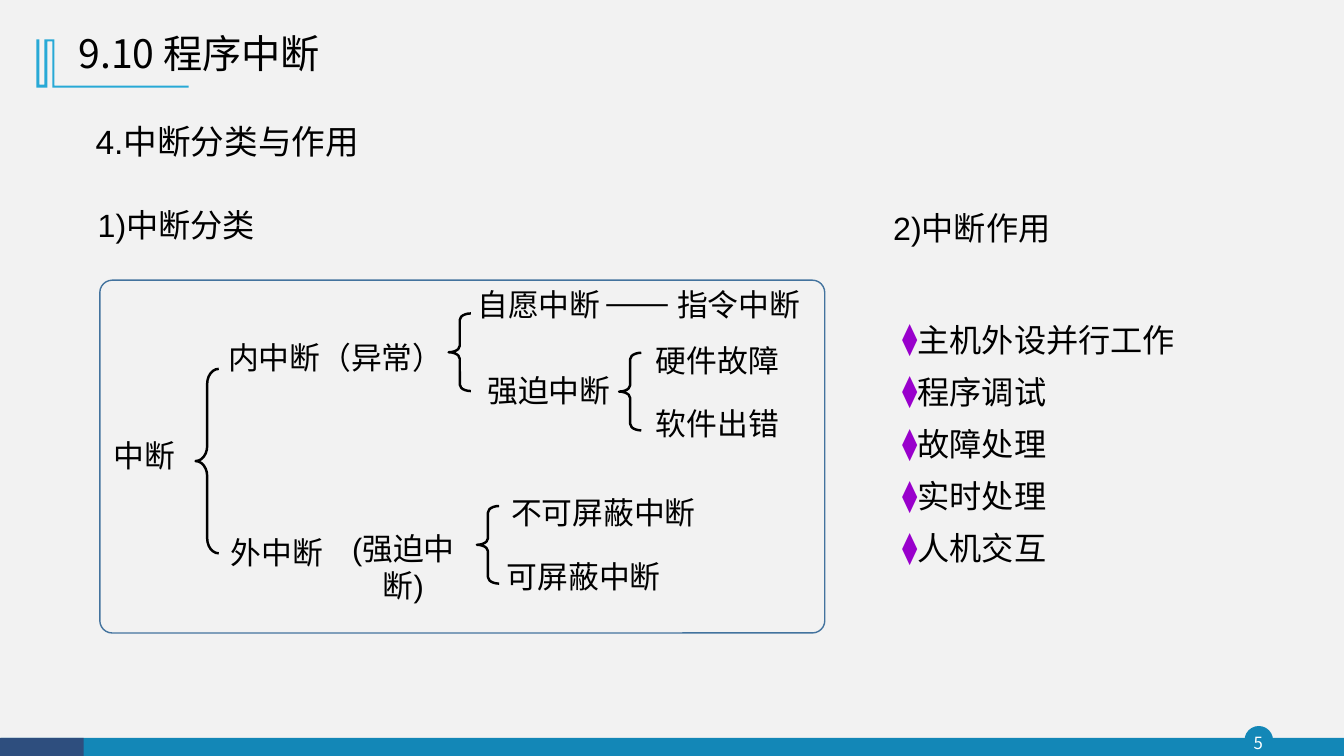
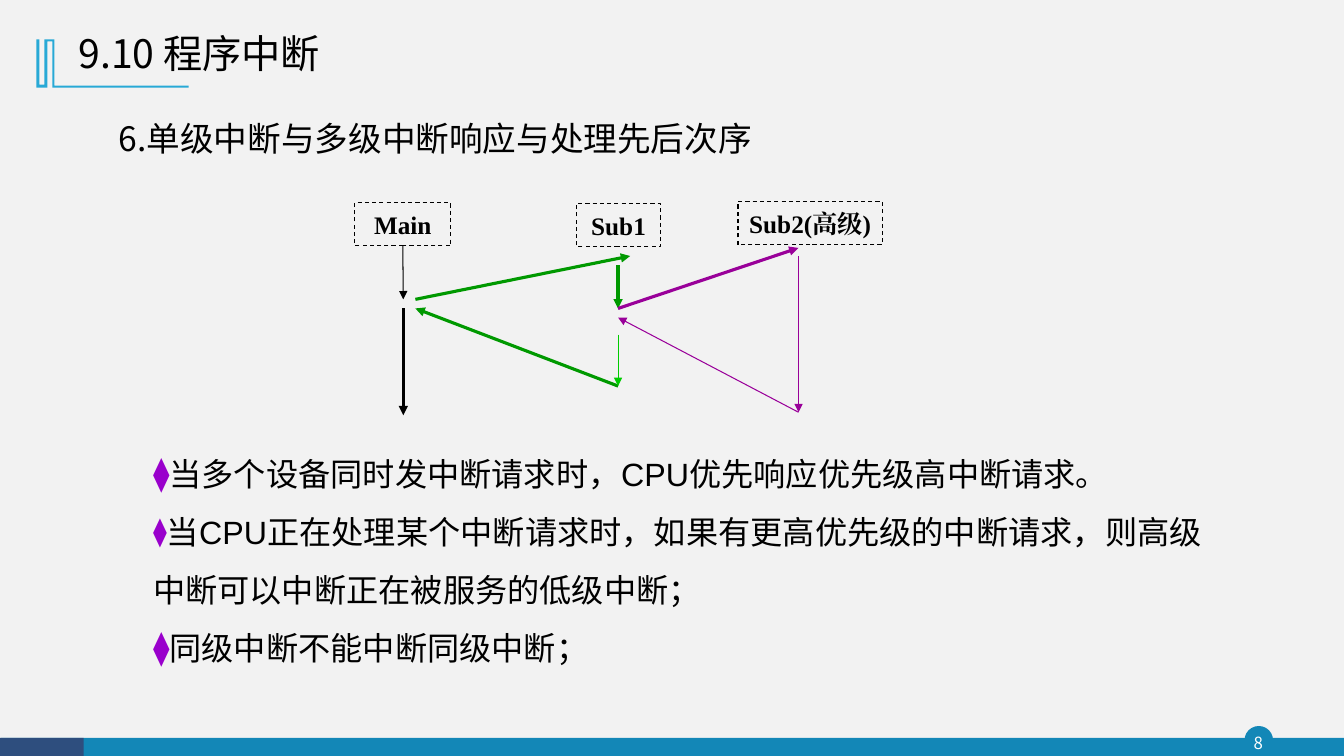
"""Builds two lecture slides on program interrupts."""
from lxml import etree
from pptx import Presentation
from pptx.dml.color import RGBColor
from pptx.enum import dml, shapes, text
from pptx.oxml import ns
from pptx.util import Inches, Pt

COLORS = {"background": "F2F2F2", "teal": "1387B7", "navy": "2E4E7E", "sky": "28A9D6",
          "frame": "43739E", "black": "000000", "white": "FFFFFF", "bullet": "9900CC",
          "green": "009900", "lime": "00CC00", "purple": "990099"}
NOTO = "Noto Sans CJK SC"
NOTO_JP = "Noto Sans CJK JP"
CENTER = text.PP_ALIGN.CENTER
MIDDLE = text.MSO_ANCHOR.MIDDLE


def add_shape(slide, kind, box, fill=None, line=None, width=1):
    shape = slide.shapes.add_shape(kind, *map(Inches, box))
    shape.shadow.inherit = False
    if fill:
        shape.fill.solid()
        shape.fill.fore_color.rgb = RGBColor.from_string(COLORS[fill])
    else:
        shape.fill.background()
    if line:
        shape.line.color.rgb = RGBColor.from_string(COLORS[line])
        shape.line.width = Pt(width)
    else:
        shape.line.fill.background()
    return shape


def write(shape, lines, size, font="Arial", asian=None, color="black", align=None, anchor=None,
          wrap=True, inset=None, spacing=None, bold=None, bullets=None):
    frame = shape.text_frame
    frame.text = "\n".join(lines)
    frame.word_wrap = wrap
    if anchor is not None:
        frame.vertical_anchor = anchor
    if inset is not None:
        frame.margin_left = frame.margin_right = Inches(inset)
        frame.margin_top = frame.margin_bottom = Inches(inset)
    for index, paragraph in enumerate(frame.paragraphs):
        paragraph.alignment = align
        paragraph.line_spacing = spacing
        if bullets:
            properties = paragraph._p.get_or_add_pPr()
            properties.set("marL", "0")
            properties.set("indent", "0")
            color_element = etree.SubElement(properties, ns.qn("a:buClr"))
            etree.SubElement(color_element, ns.qn("a:srgbClr"), val=COLORS["bullet"])
            etree.SubElement(properties, ns.qn("a:buSzPct"), val=str(bullets[index] * 1000))
            etree.SubElement(properties, ns.qn("a:buFont"), typeface="Arial")
            etree.SubElement(properties, ns.qn("a:buChar"), char="⧫")
        for run in paragraph.runs:
            run.font.size = Pt(size)
            run.font.name = font
            run.font.bold = bold
            run.font.color.rgb = RGBColor.from_string(COLORS[color])
            etree.SubElement(run._r.get_or_add_rPr(), ns.qn("a:ea"), typeface=asian or font)


presentation = Presentation()
presentation.slide_width = Inches(13.33)
presentation.slide_height = Inches(7.5)

TITLE_MARK = [(54, 39), (54, 85), (187, 85), (187, 87), (52, 87), (52, 41), (47, 41), (47, 87),
              (36, 87), (36, 39), (39, 39), (39, 84), (44, 84), (44, 39)]
slides = []
for number in ("5", "8"):
    slide = presentation.slides.add_slide(presentation.slide_layouts[6])
    slides.append(slide)
    slide.background.fill.solid()
    slide.background.fill.fore_color.rgb = RGBColor.from_string(COLORS["background"])

    add_shape(slide, shapes.MSO_SHAPE.OVAL, (12.35, 7.21, 0.27, 0.27), "teal", "teal")
    add_shape(slide, shapes.MSO_SHAPE.RECTANGLE, (0.01, 7.32, 13.32, 0.19), "teal")
    add_shape(slide, shapes.MSO_SHAPE.RECTANGLE, (0, 7.32, 0.83, 0.19), "navy")
    page_number = slide.shapes.add_textbox(*map(Inches, (12.32, 7.21, 0.32, 0.31)))
    write(page_number, [number], 12, NOTO, color="white", align=CENTER, anchor=MIDDLE, inset=0)

    builder = slide.shapes.build_freeform(*TITLE_MARK[0], scale=Inches(0.01))
    builder.add_line_segments(TITLE_MARK[1:], close=True)
    mark = builder.convert_to_shape()
    mark.shadow.inherit = False
    mark.fill.solid()
    mark.fill.fore_color.rgb = RGBColor.from_string(COLORS["sky"])
    mark.line.fill.background()

    title = slide.shapes.add_textbox(*map(Inches, (0.68, 0.21, 4.49, 0.68)))
    write(title, ["9.10 程序中断"], 28, NOTO, anchor=MIDDLE, spacing=0.9)

types_slide, priority_slide = slides

for label, box, size, asian in (
        ("4.中断分类与作用", (0.85, 1.15, 3.84, 0.5), 24, NOTO_JP),
        ("1)中断分类", (0.87, 1.99, 2.04, 0.49), 23, None),
        ("2)中断作用", (8.76, 2.02, 2.04, 0.49), 23, None)):
    heading = types_slide.shapes.add_textbox(*map(Inches, box))
    write(heading, [label], size, asian=asian)

tree_frame = add_shape(types_slide, shapes.MSO_SHAPE.ROUNDED_RECTANGLE,
                       (0.99, 2.78, 7.19, 3.5), line="frame")
tree_frame.adjustments[0] = 0.035

for box, curve in (((1.94, 3.66, 0.23, 1.83), 0.65), ((4.45, 3.11, 0.22, 0.77), 0.29),
                   ((6.14, 3.5, 0.22, 0.77), 0.29), ((4.73, 5.02, 0.22, 0.77), 0.29)):
    brace = add_shape(types_slide, shapes.MSO_SHAPE.LEFT_BRACE, box, line="black", width=1.75)
    brace.adjustments[0] = curve

for label, left, top, width in (
        ("中断", 1.12, 4.33, 0.62), ("内中断（异常）", 2.25, 3.36, 2.16),
        ("外中断", 2.28, 5.3, 0.93), ("自愿中断", 4.73, 2.83, 1.23),
        ("——", 6.01, 2.81, 0.62), ("指令中断", 6.71, 2.83, 1.23),
        ("强迫中断", 4.83, 3.69, 1.23), ("硬件故障", 6.5, 3.39, 1.23),
        ("软件出错", 6.5, 4.02, 1.23), ("不可屏蔽中断", 5.06, 4.9, 1.85),
        ("可屏蔽中断", 5.02, 5.53, 1.54), ("(强迫中断)", 3.31, 5.26, 1.38)):
    node = types_slide.shapes.add_textbox(*map(Inches, (left, top, width, 0.37)))
    write(node, [label], 22, align=CENTER, wrap=label.startswith("("), inset=0)

uses = types_slide.shapes.add_textbox(*map(Inches, (8.85, 2.99, 3.15, 2.8)))
write(uses, ["主机外设并行工作", "程序调试", "故障处理", "实时处理", "人机交互"], 23,
      align=text.PP_ALIGN.JUSTIFY, spacing=1.35, bullets=[96] * 5)

heading = priority_slide.shapes.add_textbox(*map(Inches, (1.08, 1.12, 6.84, 0.5)))
write(heading, ["6.单级中断与多级中断响应与处理先后次序"], 24, NOTO_JP)

routines = {}
for label, box in (("Main", (3.52, 2.01, 0.95, 0.43)), ("Sub1", (5.72, 2.02, 0.83, 0.43)),
                   ("Sub2(高级)", (7.32, 2, 1.43, 0.43))):
    routine = add_shape(priority_slide, shapes.MSO_SHAPE.RECTANGLE, box, line="black", width=0.75)
    routine.line.dash_style = dml.MSO_LINE.DASH
    write(routine, [label], 18, "Times New Roman", align=CENTER, anchor=MIDDLE, wrap=False,
          bold=True)
    routines[label] = routine

MAIN_X, SUB1_X, SUB2_X = 4, 6.13, 7.92
for start, end, color, width, source in (
        ((MAIN_X, 2.46), (MAIN_X, 2.97), "black", 0.75, "Main"),
        ((4.12, 2.97), (6.25, 2.54), "green", 2.25, None),
        ((SUB1_X, 3.83), (4.12, 3.06), "green", 2.25, None),
        ((MAIN_X, 3.06), (MAIN_X, 4.12), "black", 2.25, None),
        ((SUB1_X, 2.63), (SUB1_X, 3.06), "green", 2.25, None),
        ((SUB1_X, 3.06), (SUB2_X, 2.46), "purple", 2.25, None),
        ((SUB2_X, 2.54), (SUB2_X, 4.09), "purple", 0.75, None),
        ((SUB2_X, 4.09), (SUB1_X, 3.15), "purple", 0.75, None),
        ((SUB1_X, 3.32), (SUB1_X, 3.83), "lime", 0.75, None)):
    arrow = priority_slide.shapes.add_connector(
        shapes.MSO_CONNECTOR.STRAIGHT, *map(Inches, start + end))
    if source:
        arrow.begin_connect(routines[source], 2)
    arrow.line.color.rgb = RGBColor.from_string(COLORS[color])
    arrow.line.width = Pt(width)
    etree.SubElement(arrow.line._get_or_add_ln(), ns.qn("a:tailEnd"), type="triangle")
    etree.SubElement(arrow._element.spPr, ns.qn("a:effectLst"))

rules = priority_slide.shapes.add_textbox(*map(Inches, (1.42, 4.27, 10.86, 2.47)))
write(rules, ["当多个设备同时发中断请求时，CPU优先响应优先级高中断请求。",
              "当CPU正在处理某个中断请求时，如果有更高优先级的中断请求，"
              "则高级中断可以中断正在被服务的低级中断；",
              "同级中断不能中断同级中断；"], 23, spacing=1.5, bullets=[104, 87, 104])

presentation.save("out.pptx")
